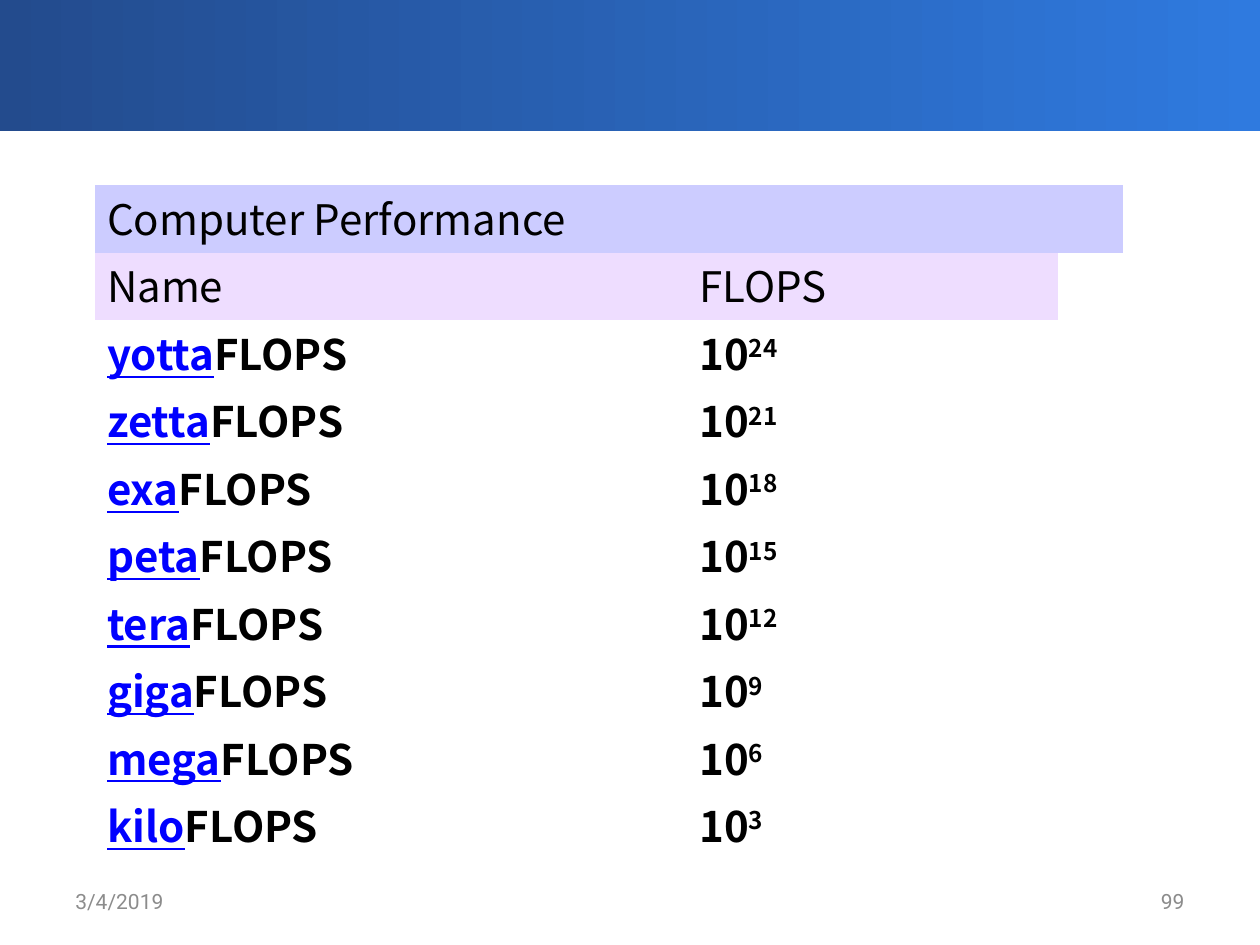
from pptx import Presentation
from pptx.dml.color import RGBColor
from pptx.enum.shapes import MSO_SHAPE
from pptx.enum.text import MSO_ANCHOR, PP_ALIGN
from pptx.oxml.ns import qn
from pptx.util import Inches, Pt

RECTANGLE = MSO_SHAPE.RECTANGLE
MIDDLE = MSO_ANCHOR.MIDDLE
LEFT, RIGHT = PP_ALIGN.LEFT, PP_ALIGN.RIGHT
PLAIN_TABLE = "{2D5ABB26-0587-4C30-8999-92F81FD0307C}"
COLORS = {
    "band_start": "234B8D", "band_end": "2F7ADF", "title": "CCCCFF",
    "header": "EEDDFF", "text": "000000", "prefix": "0000FF", "footer": "8C8C8C",
}
POWERS = {
    "yotta": 24, "zetta": 21, "exa": 18, "peta": 15,
    "tera": 12, "giga": 9, "mega": 6, "kilo": 3,
}


def color(name):
    """Return the named colour."""
    return RGBColor.from_string(COLORS[name])


def add_span(para, text, font="Noto Sans CJK SC", size=24, ink="text",
             bold=False, underline=False, raised=False):
    """Append formatted text to a paragraph."""
    span = para.add_run()
    span.text = text
    span.font.name = font
    span.font.size = Pt(size)
    span.font.color.rgb = color(ink)
    span.font.bold = bold
    span.font.underline = underline
    if raised:
        span.font._element.set("baseline", "30000")


class SlideBuilder:
    """Draw styled elements on a page with a grid of 100 columns by 75 rows."""

    def __init__(self, deck):
        """Set the page size and add a blank page."""
        deck.slide_width, deck.slide_height = Inches(10), Inches(7.5)
        self.column, self.row = deck.slide_width / 100, deck.slide_height / 75
        self.page = deck.slides.add_slide(deck.slide_layouts[6])

    def place(self, left, top, width, height):
        """Convert grid units to slide lengths."""
        return (round(left * self.column), round(top * self.row),
                round(width * self.column), round(height * self.row))

    def band(self, *area):
        """Add the gradient band."""
        band = self.page.shapes.add_shape(RECTANGLE, *self.place(*area))
        band.shadow.inherit = False
        band.line.fill.background()
        band.fill.gradient()
        band.fill.gradient_angle = 0
        for stop, name in zip(band.fill.gradient_stops, ("band_start", "band_end")):
            stop.color.rgb = color(name)
        band.fill.gradient_stops[1].position = 1

    def footer(self, text, left, align=LEFT):
        """Add a footer text box."""
        box = self.page.shapes.add_textbox(*self.place(left, 69.5, 23.3, 4))
        frame = box.text_frame
        frame.word_wrap = True
        frame.vertical_anchor = MIDDLE
        para = frame.paragraphs[0]
        para.alignment = align
        add_span(para, text, font="Roboto", size=12, ink="footer")

    def table(self, left, top, widths, heights):
        """Add an unstyled table with clear cells."""
        area = self.place(left, top, sum(widths), sum(heights))
        table = self.page.shapes.add_table(len(heights), len(widths), *area).table
        table.first_row = table.horz_banding = False
        table._tbl.tblPr.find(qn("a:tableStyleId")).text = PLAIN_TABLE
        for column, width in zip(table.columns, widths):
            column.width = round(width * self.column)
        for row, height in zip(table.rows, heights):
            row.height = round(height * self.row)
        for cell in table.iter_cells():
            cell.fill.background()
        return table

    def cell(self, cell, *spans, fill=None):
        """Write formatted spans into a table cell."""
        cell.vertical_anchor = MIDDLE
        if fill:
            cell.fill.solid()
            cell.fill.fore_color.rgb = color(fill)
        para = cell.text_frame.paragraphs[0]
        para.line_spacing = 0.9
        indent = Inches(0.31)
        properties = para._p.get_or_add_pPr()
        properties.set("marL", str(indent))
        properties.set("indent", str(-indent))
        for text, style in spans:
            add_span(para, text, **style)


def main():
    """Build the computer performance slide."""
    deck = Presentation()
    builder = SlideBuilder(deck)
    builder.band(0, -0.3, 100, 10.7)
    table = builder.table(7.5, 14.7, (47, 29.5, 5.1), [4.6, 5] + [5.2] * len(POWERS))
    table.cell(0, 0).merge(table.cell(0, 2))
    builder.cell(table.cell(0, 0), ("Computer Performance", {}), fill="title")
    for index, heading in enumerate(("Name", "FLOPS")):
        builder.cell(table.cell(1, index), (heading, {}), fill="header")
    bold = {"bold": True}
    linked = {"bold": True, "ink": "prefix", "underline": True}
    raised = {"bold": True, "raised": True}
    for index, (prefix, power) in enumerate(POWERS.items(), start=2):
        builder.cell(table.cell(index, 0), (prefix, linked), ("FLOPS", bold))
        builder.cell(table.cell(index, 1), ("10", bold), (str(power), raised))
    builder.footer("3/4/2019", 5)
    builder.footer("99", 71.7, align=RIGHT)
    deck.save("out.pptx")


if __name__ == "__main__":
    main()
